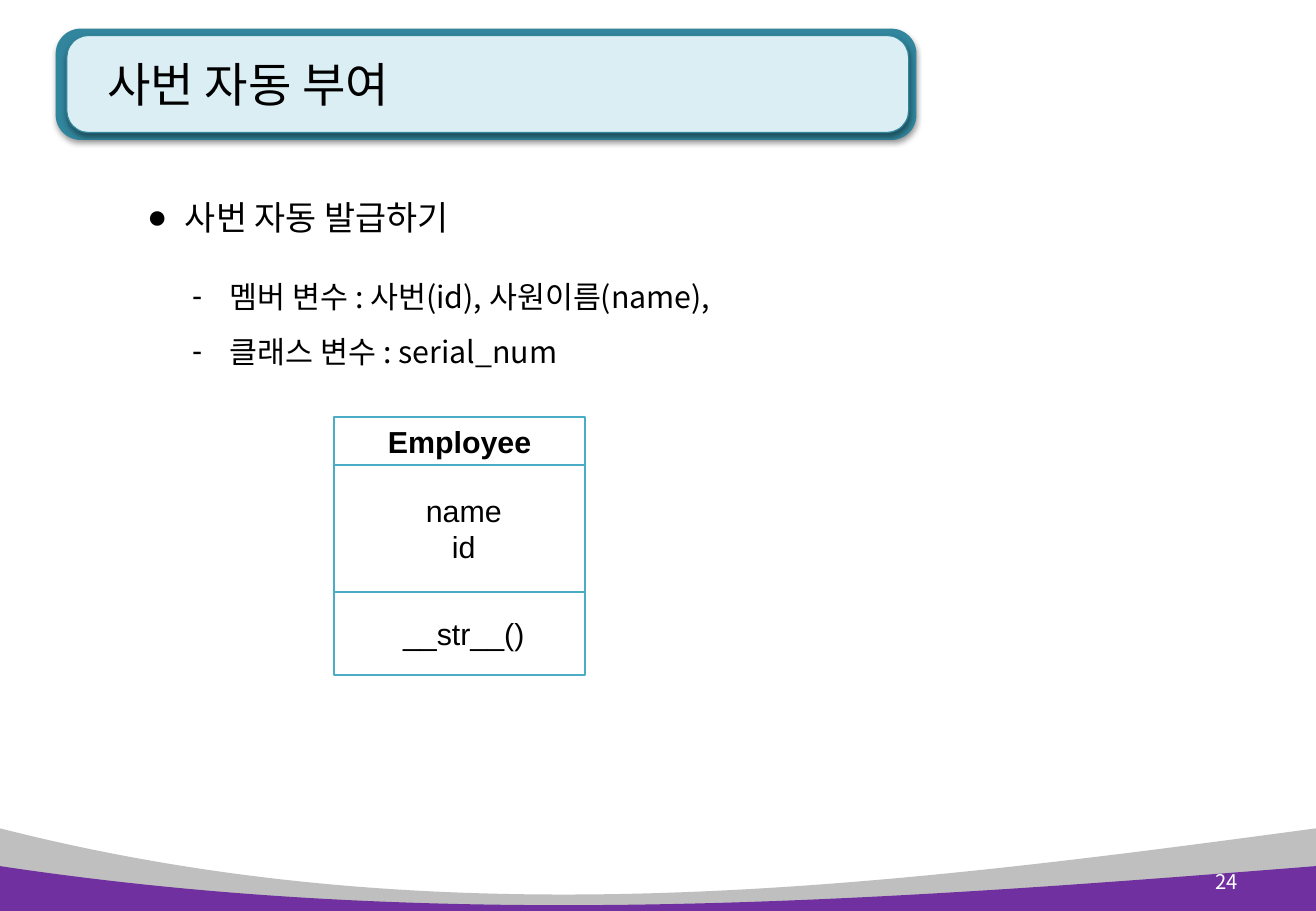
import pptx
import pptx.dml.color
import pptx.enum.shapes
import pptx.enum.text
import pptx.oxml
import pptx.oxml.ns
import pptx.util
from lxml import etree

Pt = pptx.util.Pt
RGBColor = pptx.dml.color.RGBColor
SHAPE = pptx.enum.shapes.MSO_SHAPE
ALIGN = pptx.enum.text.PP_ALIGN
MIDDLE = pptx.enum.text.MSO_ANCHOR.MIDDLE
TOP = pptx.enum.text.MSO_ANCHOR.TOP
qn = pptx.oxml.ns.qn

BLACK = RGBColor(0, 0, 0)
WHITE = RGBColor(0xFF, 0xFF, 0xFF)
GRAY = RGBColor(0xBF, 0xBF, 0xBF)
PURPLE = RGBColor(0x70, 0x30, 0xA0)
TEAL = RGBColor(0x31, 0x85, 0x9C)
PALE_TEAL = RGBColor(0xDB, 0xEE, 0xF4)
AQUA = RGBColor(0x4B, 0xAC, 0xC6)
KOREAN, LATIN = "Noto Sans CJK KR", "Arial"

WIDTH, HEIGHT = 780, 540
TITLE = "사번 자동 부여"
HEADING = "사번 자동 발급하기"
VARIABLES = ["멤버 변수 : 사번(id), 사원이름(name),", "클래스 변수 : serial_num"]
PAGE = "24"
HANGING = 22.4
# lines, height, bold, extra left inset
CLASS_BOXES = [
    (["Employee"], 28.2, True, 0),
    (["name", "id"], 75.4, False, 5),
    (["__str__()"], 49.4, False, 5),
]
CLASS_LEFT, CLASS_TOP, CLASS_WIDTH = 198, 247.3, 148.8
# colour and heights of the four Bezier points
WAVES = [(GRAY, (491, 558, 526.3, 491)), (PURPLE, (513.4, 553, 534.2, 513.4))]
WAVE_X = (0, 262.8, 518.4, WIDTH)
# left, top, width, height, fill, line
PANELS = [
    (33, 17, 510.2, 66, TEAL, None),
    (39.6, 21, 499, 57.6, PALE_TEAL, TEAL),
]
SHADOW = (
    '<a:effectLst xmlns:a="http://schemas.openxmlformats.org/drawingml/2006/main">'
    '<a:outerShdw blurRad="39370" dist="20320" dir="5400000" rotWithShape="0">'
    '<a:srgbClr val="000000"><a:alpha val="38000"/></a:srgbClr>'
    '</a:outerShdw></a:effectLst>'
)


def set_font(p, name, size, color=BLACK, bold=False):
    p.font.name = name
    p.font.size = Pt(size)
    p.font.bold = bold
    p.font.color.rgb = color


def set_frame(sp, left, anchor=MIDDLE, right=0, top=0):
    tf = sp.text_frame
    tf.word_wrap = True
    tf.auto_size = pptx.enum.text.MSO_AUTO_SIZE.NONE
    tf.vertical_anchor = anchor
    tf.margin_left, tf.margin_right = Pt(left), Pt(right)
    tf.margin_top = tf.margin_bottom = Pt(top)
    return tf


def place(sp, left, top, width, height):
    sp.left, sp.top, sp.width, sp.height = map(Pt, (left, top, width, height))


def paint(sp, fill, line=None, weight=0.75):
    sp.shadow.inherit = False
    sp.fill.solid()
    sp.fill.fore_color.rgb = fill
    if line is None:
        sp.line.fill.background()
    else:
        sp.line.color.rgb = line
        sp.line.width = Pt(weight)


def add_wave(s, color, heights):
    """Draw a band whose top edge is one cubic Bezier curve."""
    top = heights[0]
    corners = [(WIDTH, heights[3]), (WIDTH, HEIGHT), (0, HEIGHT)]
    builder = s.shapes.build_freeform(0, Pt(top))
    builder.add_line_segments([(Pt(x), Pt(y)) for x, y in corners], close=True)
    sp = builder.convert_to_shape()
    edge = next(sp.element.iter(qn("a:lnTo")))
    curve = etree.Element(qn("a:cubicBezTo"))
    for x, y in list(zip(WAVE_X, heights))[1:]:
        etree.SubElement(curve, qn("a:pt"), x=str(Pt(x)), y=str(Pt(y - top)))
    edge.getparent().replace(edge, curve)
    paint(sp, color)


def add_panel(s, left, top, width, height, fill, line):
    sp = s.shapes.add_shape(SHAPE.ROUNDED_RECTANGLE,
                            *map(Pt, (left, top, width, height)))
    sp.adjustments[0] = 0.225
    paint(sp, fill, line)
    props = sp.element.spPr
    effects = props.find(qn("a:effectLst"))
    props.replace(effects, pptx.oxml.parse_xml(SHADOW))


def fill_title(sp):
    place(sp, 49.7, 15.8, 488, 67.7)
    tf = set_frame(sp, 14)
    tf.text = TITLE
    p = tf.paragraphs[0]
    p.alignment = ALIGN.LEFT
    set_font(p, KOREAN, 28)


def fill_list(tf, lines, mark, font, size):
    tf.text = "\n".join(lines)
    for p in tf.paragraphs:
        p.alignment = ALIGN.LEFT
        p.line_spacing = 1.5
        p.space_before = p.space_after = Pt(0)
        props = p._p.get_or_add_pPr()
        props.set("marL", str(Pt(HANGING)))
        props.set("indent", str(-Pt(HANGING)))
        etree.SubElement(props, qn("a:buFont")).set("typeface", LATIN)
        etree.SubElement(props, qn("a:buChar")).set("char", mark)
        set_font(p, font, size)


def add_heading(s):
    sp = s.shapes.add_shape(SHAPE.ROUNDED_RECTANGLE,
                            *map(Pt, (78.5, 105.1, 237.6, 34.6)))
    paint(sp, WHITE)
    fill_list(set_frame(sp, 7.2, right=7.2, top=3.6), [HEADING], "●", LATIN, 20)


def fill_variables(sp):
    place(sp, 106.6, 150.5, 391, 72.7)
    fill_list(set_frame(sp, 7.2, TOP, 7.2, 3.6), VARIABLES, "-", KOREAN, 18)


def add_class_diagram(s):
    top = CLASS_TOP
    for lines, height, bold, inset in CLASS_BOXES:
        sp = s.shapes.add_shape(SHAPE.RECTANGLE,
                                *map(Pt, (CLASS_LEFT, top, CLASS_WIDTH, height)))
        paint(sp, WHITE, AQUA, 1)
        tf = set_frame(sp, inset)
        tf.text = "\n".join(lines)
        for p in tf.paragraphs:
            p.alignment = ALIGN.CENTER
            set_font(p, LATIN, 18, bold=bold)
        top += height


def add_page_number(s):
    sp = s.shapes.add_textbox(*map(Pt, (697, 508.3, 44, 28.8)))
    tf = set_frame(sp, 7.2, right=7.2)
    tf.text = PAGE
    p = tf.paragraphs[0]
    p.alignment = ALIGN.RIGHT
    set_font(p, KOREAN, 12, WHITE)


def main():
    prs = pptx.Presentation()
    prs.slide_width, prs.slide_height = Pt(WIDTH), Pt(HEIGHT)
    s = prs.slides.add_slide(prs.slide_layouts[1])
    title, body = s.shapes.title, s.placeholders[1]
    for color, heights in WAVES:
        add_wave(s, color, heights)
    for panel in PANELS:
        add_panel(s, *panel)
    add_heading(s)
    for sp in (title, body):  # bring the text in front of the panels
        sp.element.getparent().append(sp.element)
    fill_title(title)
    fill_variables(body)
    add_class_diagram(s)
    add_page_number(s)
    prs.save("out.pptx")


if __name__ == "__main__":
    main()
